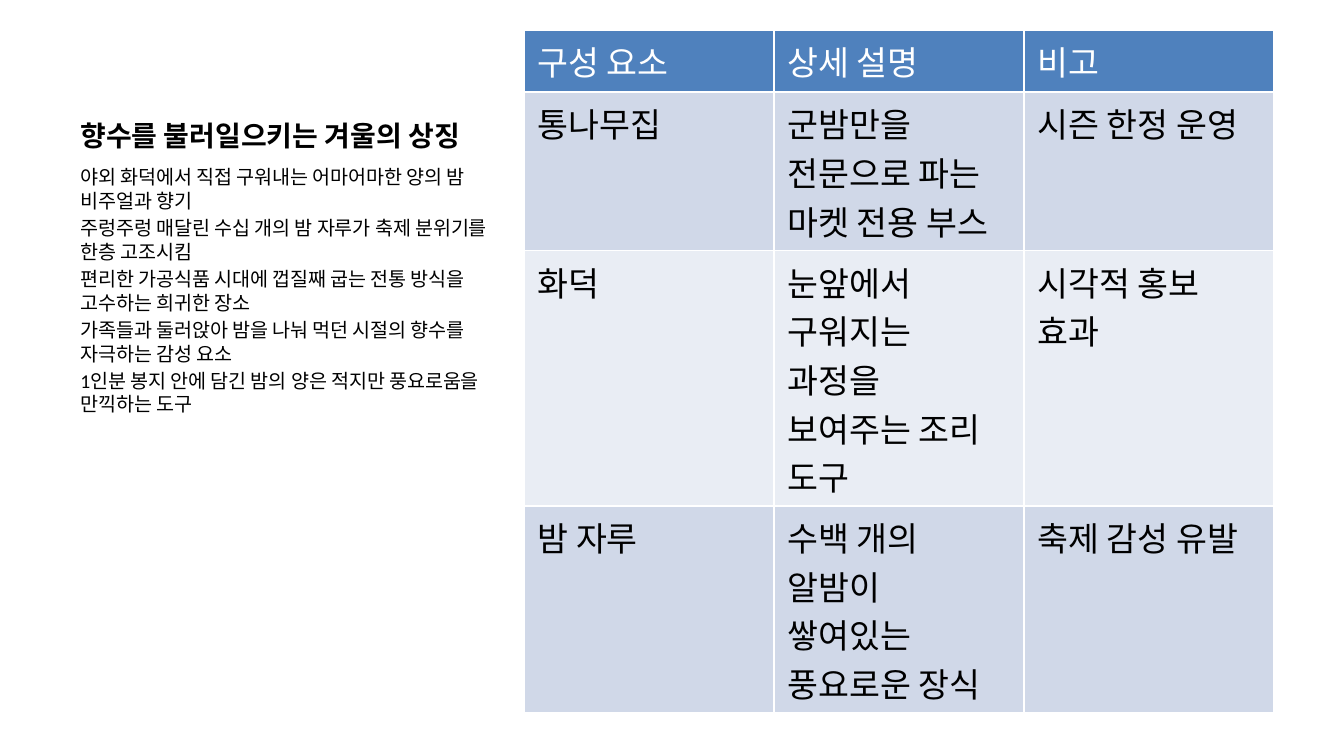
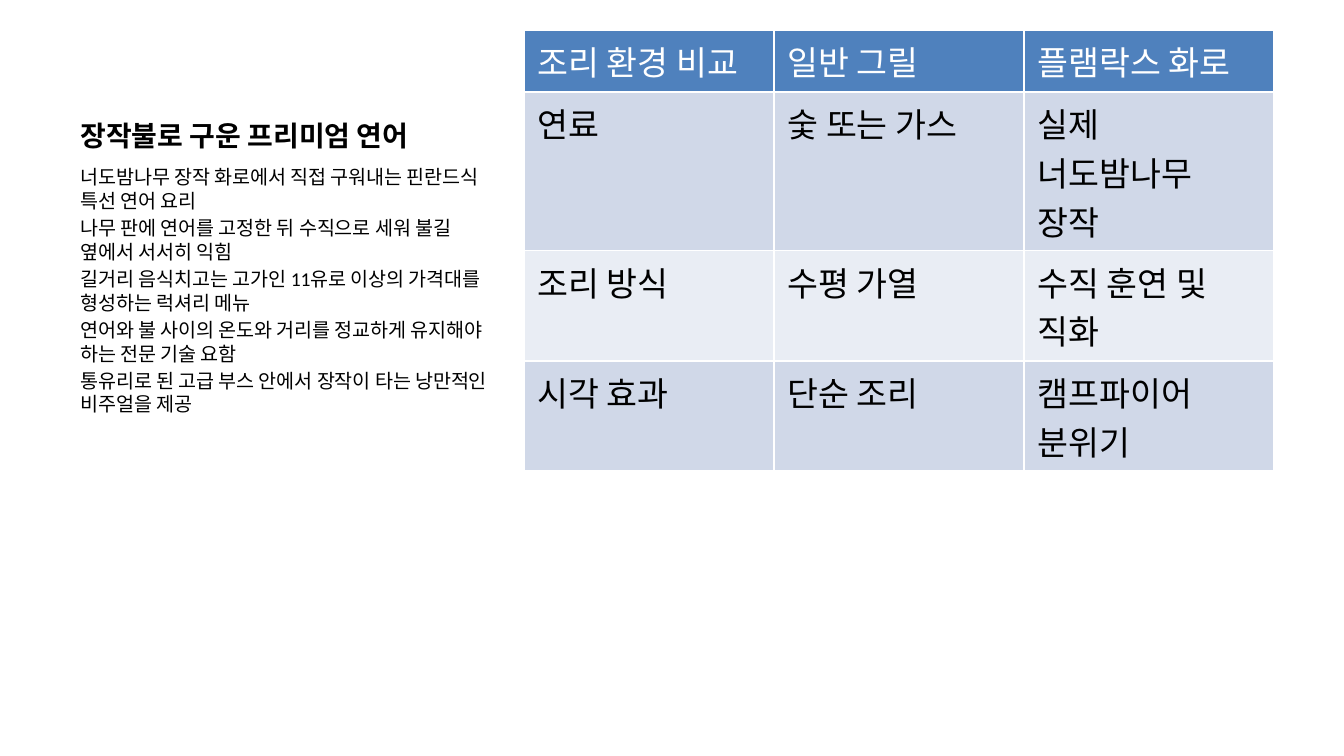
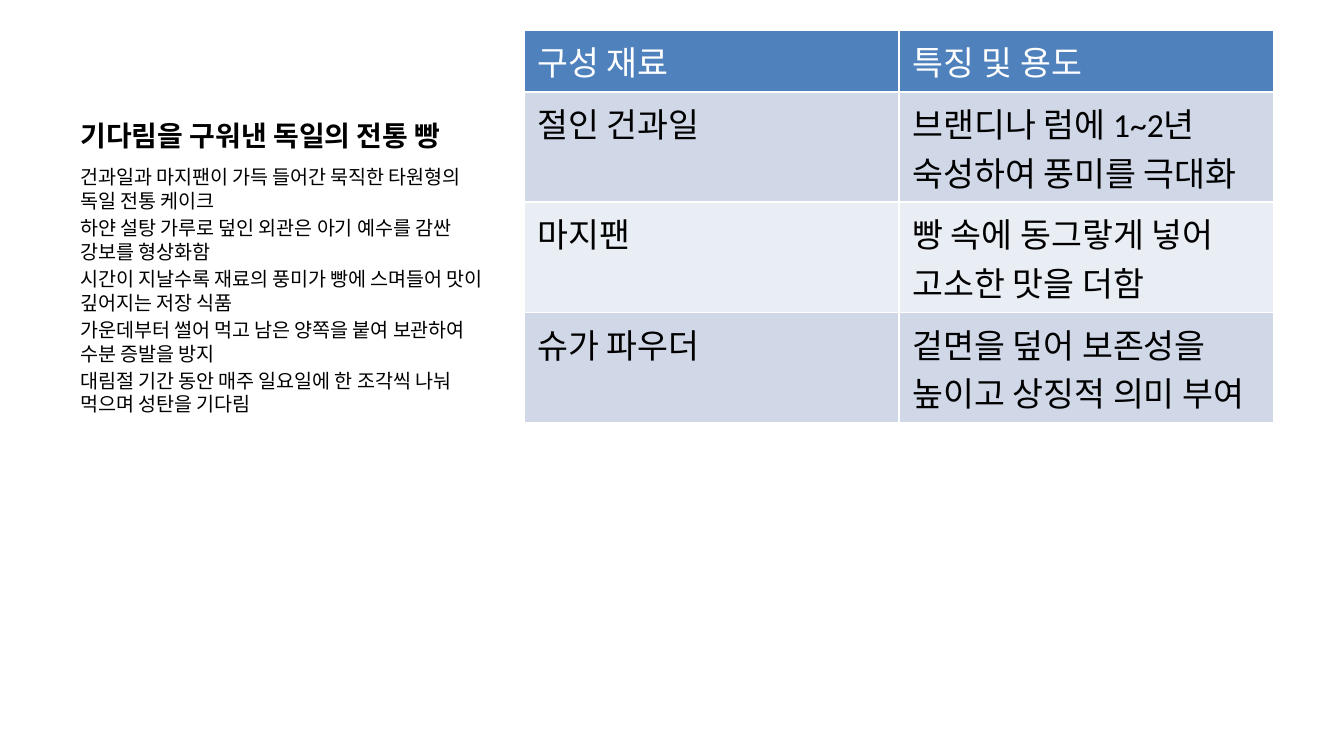
"""Builds three winter market food slides, each with a title, notes and a table."""
from pptx import Presentation
from pptx import util as u
from pptx.dml.color import RGBColor
from pptx.enum import text

BLACK = RGBColor(0x00, 0x00, 0x00)
WHITE = RGBColor(0xFF, 0xFF, 0xFF)
BLUE = RGBColor(0x4F, 0x81, 0xBD)
BANDS = [RGBColor(0xD0, 0xD8, 0xE8), RGBColor(0xE9, 0xED, 0xF4)]
FONT = "Calibri"

PAGES = [
    (
        "향수를 불러일으키는 겨울의 상징",
        [
            "야외 화덕에서 직접 구워내는 어마어마한 양의 밤 비주얼과 향기",
            "주렁주렁 매달린 수십 개의 밤 자루가 축제 분위기를 한층 고조시킴",
            "편리한 가공식품 시대에 껍질째 굽는 전통 방식을 고수하는 희귀한 장소",
            "가족들과 둘러앉아 밤을 나눠 먹던 시절의 향수를 자극하는 감성 요소",
            "1인분 봉지 안에 담긴 밤의 양은 적지만 풍요로움을 만끽하는 도구",
        ],
        [
            ["구성 요소", "상세 설명", "비고"],
            ["통나무집", "군밤만을 전문으로 파는 마켓 전용 부스", "시즌 한정 운영"],
            ["화덕", "눈앞에서 구워지는 과정을 보여주는 조리 도구", "시각적 홍보 효과"],
            ["밤 자루", "수백 개의 알밤이 쌓여있는 풍요로운 장식", "축제 감성 유발"],
        ],
        [1, 3, 5, 4],
    ),
    (
        "장작불로 구운 프리미엄 연어",
        [
            "너도밤나무 장작 화로에서 직접 구워내는 핀란드식 특선 연어 요리",
            "나무 판에 연어를 고정한 뒤 수직으로 세워 불길 옆에서 서서히 익힘",
            "길거리 음식치고는 고가인 11유로 이상의 가격대를 형성하는 럭셔리 메뉴",
            "연어와 불 사이의 온도와 거리를 정교하게 유지해야 하는 전문 기술 요함",
            "통유리로 된 고급 부스 안에서 장작이 타는 낭만적인 비주얼을 제공",
        ],
        [
            ["조리 환경 비교", "일반 그릴", "플램락스 화로"],
            ["연료", "숯 또는 가스", "실제 너도밤나무 장작"],
            ["조리 방식", "수평 가열", "수직 훈연 및 직화"],
            ["시각 효과", "단순 조리", "캠프파이어 분위기"],
        ],
        [1, 3, 2, 2],
    ),
    (
        "기다림을 구워낸 독일의 전통 빵",
        [
            "건과일과 마지팬이 가득 들어간 묵직한 타원형의 독일 전통 케이크",
            "하얀 설탕 가루로 덮인 외관은 아기 예수를 감싼 강보를 형상화함",
            "시간이 지날수록 재료의 풍미가 빵에 스며들어 맛이 깊어지는 저장 식품",
            "가운데부터 썰어 먹고 남은 양쪽을 붙여 보관하여 수분 증발을 방지",
            "대림절 기간 동안 매주 일요일에 한 조각씩 나눠 먹으며 성탄을 기다림",
        ],
        [
            ["구성 재료", "특징 및 용도"],
            ["절인 건과일", "브랜디나 럼에 1~2년 숙성하여 풍미를 극대화"],
            ["마지팬", "빵 속에 동그랗게 넣어 고소한 맛을 더함"],
            ["슈가 파우더", "겉면을 덮어 보존성을 높이고 상징적 의미 부여"],
        ],
        [1, 2, 2, 2],
    ),
]


def add_run(para, words, size, color, bold=False):
    run = para.add_run()
    run.text = words
    run.font.name = FONT
    run.font.size = u.Pt(size)
    run.font.bold = bold
    run.font.color.rgb = color


def add_box(slide, top, high, anchor):
    box = slide.shapes.add_textbox(left, top, wide, high)
    frame = box.text_frame
    frame.word_wrap = True
    frame.vertical_anchor = anchor
    return frame


deck = Presentation()
deck.slide_width = u.Inches(10)
deck.slide_height = deck.slide_width * 9 // 16
W, H = deck.slide_width, deck.slide_height

left, wide = int(W * 0.05), u.Inches(3.29)
top, split, foot = int(H * 0.04), int(H * 0.21), u.Inches(5.03)
side, span = int(W * 0.39), u.Inches(5.58)
pad, line = u.Inches(0.1), u.Inches(0.36)

for title, notes, rows, lines in PAGES:
    slide = deck.slides.add_slide(deck.slide_layouts[6])

    head = add_box(slide, top, split - top, text.MSO_ANCHOR.BOTTOM)
    add_run(head.paragraphs[0], title, 15, BLACK, True)

    body = add_box(slide, split, foot - split, text.MSO_ANCHOR.TOP)
    for i, note in enumerate(notes):
        para = body.add_paragraph() if i else body.paragraphs[0]
        para.space_before = u.Pt(2.1)
        add_run(para, note, 10.5, BLACK)

    grid = slide.shapes.add_table(len(rows), len(rows[0]), side, top, span, foot - top).table
    for r, row in enumerate(rows):
        grid.rows[r].height = pad + line * lines[r]
        for c, words in enumerate(row):
            cell = grid.cell(r, c)
            cell.fill.solid()
            cell.fill.fore_color.rgb = BANDS[(r - 1) % 2] if r else BLUE
            add_run(cell.text_frame.paragraphs[0], words, 18, BLACK if r else WHITE)

deck.save("out.pptx")
